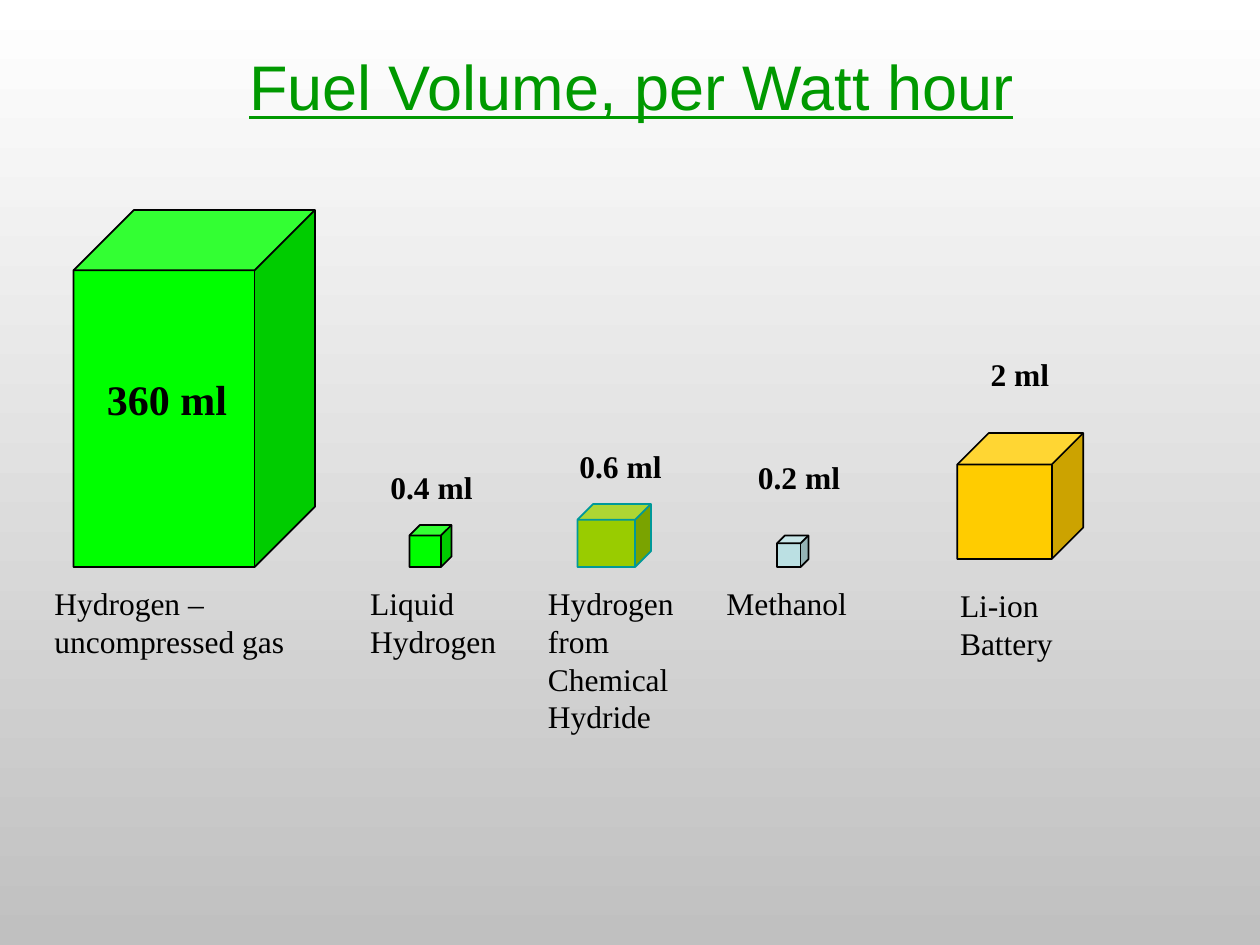
from pptx import Presentation
from pptx.dml.color import RGBColor
from pptx.enum.shapes import MSO_SHAPE
from pptx.enum.text import MSO_ANCHOR, MSO_AUTO_SIZE as AUTO, PP_ALIGN
from pptx.util import Pt

COLORS = {
    "top": "FFFFFF", "bottom": "C0C0C0", "title": "009900", "text": "000000",
    "line": "000000", "teal": "009999", "green": "00FF00", "lime": "99CC00",
    "pale": "BBE0E3", "gold": "FFCC00",
}
SERIF = "Times New Roman"
LABEL_TOP = 330.2


def rgb(name):
    return RGBColor.from_string(COLORS[name])


def add_text(left, top, width, lines, size=18, bold=False):
    """Add an unwrapped text box, one paragraph per line."""
    height = 7.2 + 1.2 * size * len(lines)
    sp = s.shapes.add_textbox(Pt(left), Pt(top), Pt(width), Pt(height))
    tf = sp.text_frame
    tf.word_wrap = False
    tf.auto_size = AUTO.SHAPE_TO_FIT_TEXT
    tf.text = "\n".join(lines)
    for p in tf.paragraphs:
        p.font.name, p.font.size, p.font.bold = SERIF, Pt(size), bold
        p.font.color.rgb = rgb("text")


prs = Presentation()
prs.slide_width, prs.slide_height = Pt(720), Pt(540)
s = prs.slides.add_slide(prs.slide_layouts[6])

# Background, white at the top to grey at the bottom
fill = s.background.fill
fill.gradient()
fill.gradient_angle = 270
for stop, name in zip(fill.gradient_stops, ("top", "bottom")):
    stop.color.rgb = rgb(name)

# Title
sp = s.shapes.add_textbox(Pt(36.8), Pt(15), Pt(648), Pt(68))
tf = sp.text_frame
tf.word_wrap = True
tf.vertical_anchor = MSO_ANCHOR.MIDDLE
p = tf.paragraphs[0]
p.text = "Fuel Volume, per Watt hour"
p.alignment = PP_ALIGN.CENTER
p.font.name, p.font.size, p.font.underline = "Arial", Pt(36), True
p.font.color.rgb = rgb("title")

# Cube (left, top, width, height), fill, line;
# volume (text, left, top, width, size); label (left, top, width, lines)
fuels = [
    ((42, 120, 138, 204), "green", "line", ("360 ml", 54, 210, 84, 24),
     (24, LABEL_TOP, 149, ["Hydrogen –", "uncompressed gas"])),
    ((234, 300, 24, 24), "green", "line", ("0.4 ml", 216, 264, 63, 18),
     (204.5, LABEL_TOP, 89, ["Liquid", "Hydrogen"])),
    ((330, 288, 42, 36), "lime", "teal", ("0.6 ml", 324, 252, 63, 18),
     (306, LABEL_TOP, 91, ["Hydrogen", "from", "Chemical", "Hydride"])),
    ((444, 306, 18, 18), "pale", "line", ("0.2 ml", 426, 258.2, 63, 18),
     (408, LABEL_TOP, 85, ["Methanol"])),
    ((547, 247.5, 72, 72), "gold", "line", ("2 ml", 559, 199.5, 50, 18),
     (541.5, LABEL_TOP + 1, 71, ["Li-ion", "Battery"])),
]

for box, face, edge, volume, label in fuels:
    sp = s.shapes.add_shape(MSO_SHAPE.CUBE, *map(Pt, box))
    sp.adjustments[0] = 0.25
    sp.shadow.inherit = False
    sp.fill.solid()
    sp.fill.fore_color.rgb = rgb(face)
    sp.line.color.rgb = rgb(edge)
    sp.line.width = Pt(1)

    text, left, top, width, size = volume
    add_text(left, top, width, [text], size, bold=True)
    add_text(*label)

prs.save("out.pptx")
